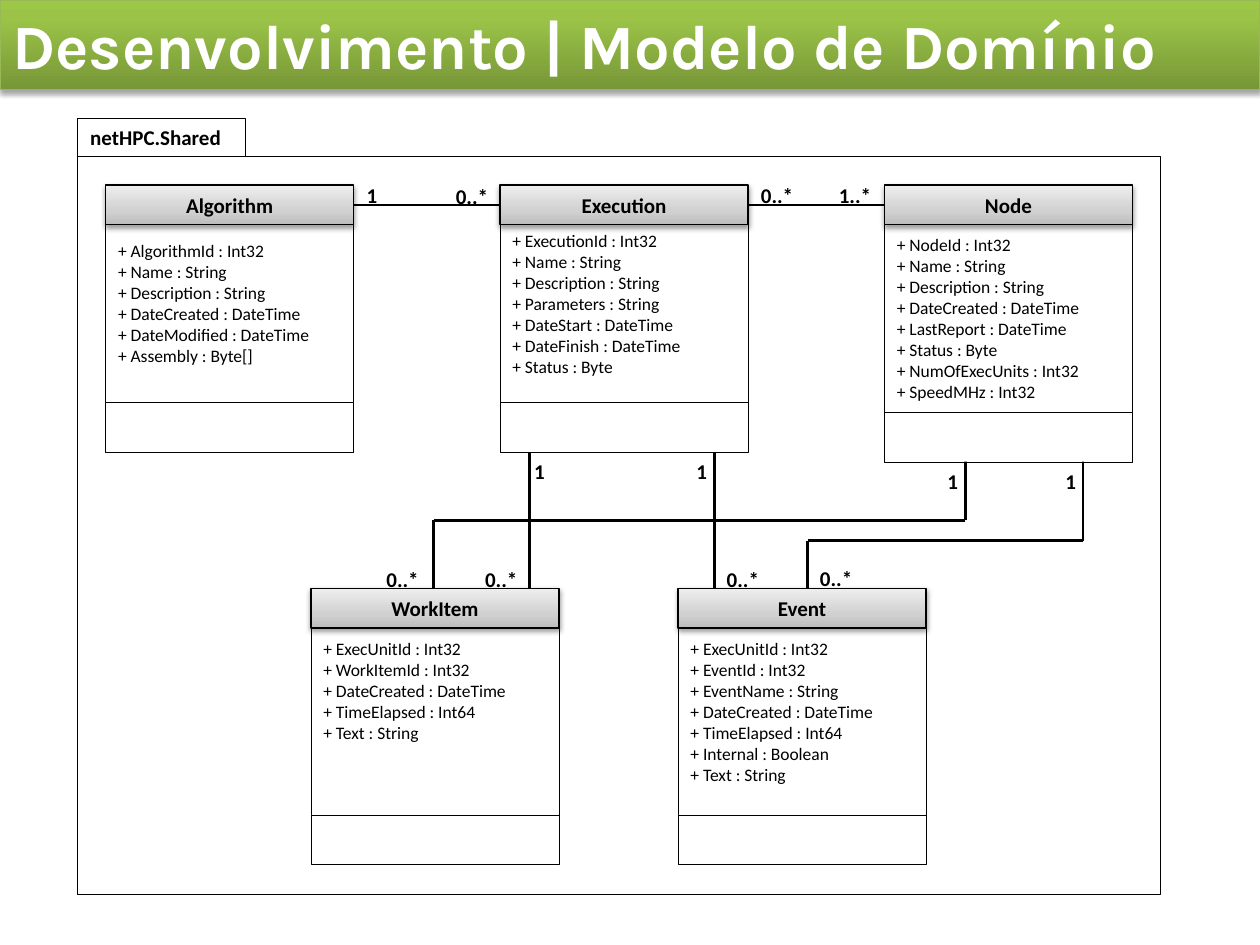
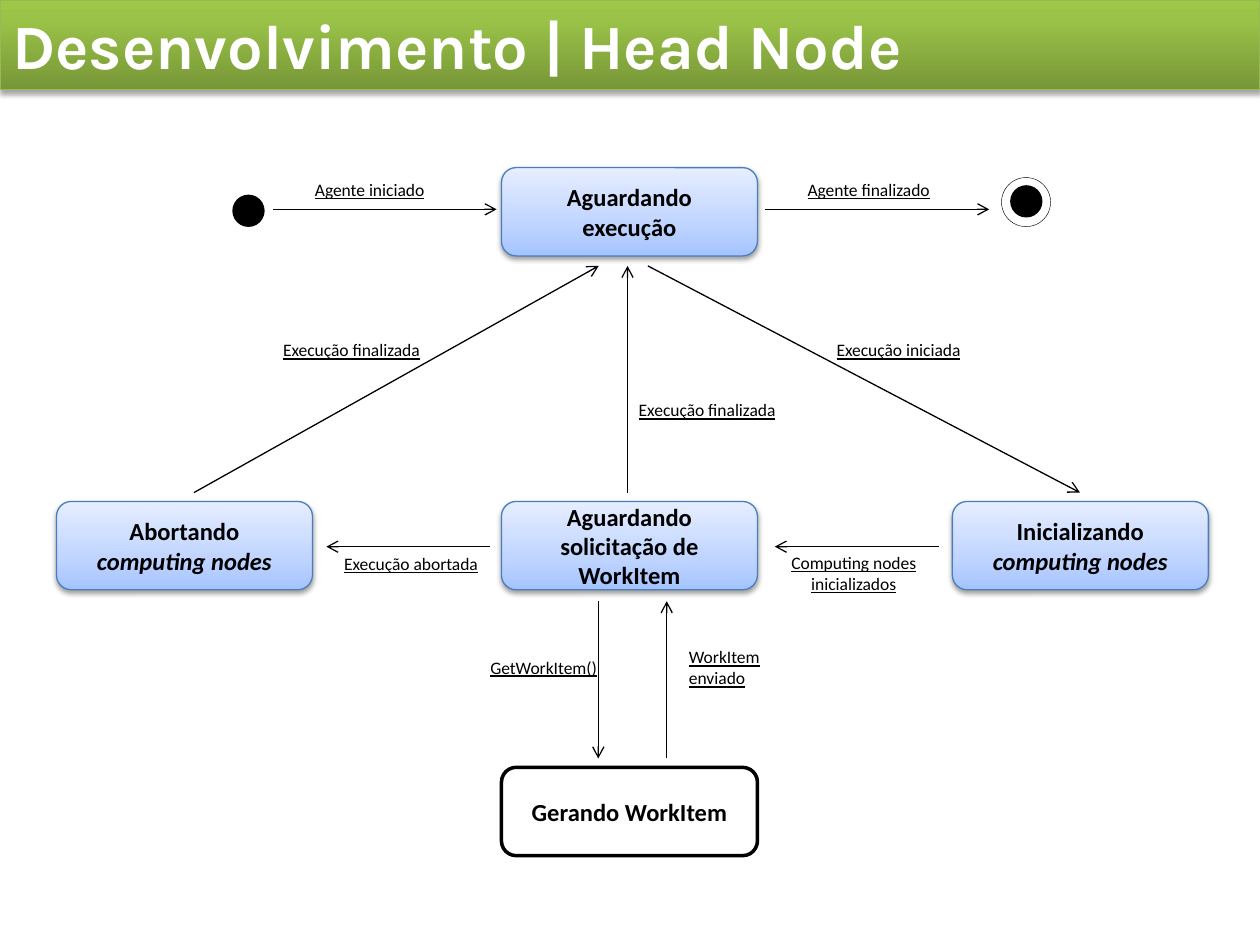
"""Build the domain model and head node state slides."""
from copy import deepcopy

from lxml import etree
from pptx import Presentation
from pptx import util as u
from pptx.dml.color import RGBColor
from pptx.enum import shapes, text
from pptx.oxml.ns import qn

COLORS = {
    "ink": "000000", "paper": "FFFFFF", "band_line": "98B955", "state_line": "4B7EBC",
    "band_low": "779737", "band_mid": "9BC348", "band_high": "9DC746",
    "header_low": "BDBDBD", "header_mid": "D1D1D1", "header_high": "EEEEEE",
    "state_low": "A4C4FF", "state_mid": "BFD4FF", "state_high": "E6EEFF",
}
GRADIENT_POSITIONS = {"band": (0, 0.8, 1), "header": (0, 0.35, 1), "state": (0, 0.35, 1)}
FONTS = {
    "title": {"name": "Karla", "size": u.Pt(36), "bold": True},
    "strong": {"name": "Calibri", "size": u.Pt(12), "bold": True},
    "attribute": {"name": "Calibri", "size": u.Pt(10)},
    "state": {"name": "Calibri", "size": u.Pt(14), "bold": True},
    "event": {"name": "Calibri", "size": u.Pt(10), "underline": True},
}
LEFT, CENTER, RIGHT = text.PP_ALIGN.LEFT, text.PP_ALIGN.CENTER, text.PP_ALIGN.RIGHT
TOP, MIDDLE = text.MSO_ANCHOR.TOP, text.MSO_ANCHOR.MIDDLE
RECTANGLE = shapes.MSO_SHAPE.RECTANGLE
ROUNDED = shapes.MSO_SHAPE.ROUNDED_RECTANGLE
CIRCLE = shapes.MSO_SHAPE.FLOWCHART_CONNECTOR


def rgb(name):
    """Return the named colour."""
    return RGBColor.from_string(COLORS[name])


class Deck:
    """Hold the presentation style and the current slide."""

    def __init__(self):
        """Start an empty 10 by 7.5 inch presentation."""
        self.presentation = Presentation()
        self.presentation.slide_width = u.Cm(25.4)
        self.presentation.slide_height = u.Cm(19.05)
        self.slide = None

    def new_slide(self, title):
        """Add a blank slide with the title band."""
        self.slide = self.presentation.slides.add_slide(self.presentation.slide_layouts[6])
        band = self.box(0, 0, 25.4, 1.8, fill="band", line="band_line", weight=0.75)
        self.shadow(band, 35, 1.8)
        self.set_text(band, [title], "title", color="paper")

    def box(self, left, top, width, height, kind=RECTANGLE, fill="paper", line="ink", weight=0.25):
        """Add a preset shape with a flat, gradient or missing fill."""
        shape = self.slide.shapes.add_shape(kind, *map(u.Cm, (left, top, width, height)))
        shape.shadow.inherit = False
        if fill is None:
            shape.fill.background()
        elif fill in GRADIENT_POSITIONS:
            self.gradient(shape, fill)
        else:
            shape.fill.solid()
            shape.fill.fore_color.rgb = rgb(fill)
        shape.line.color.rgb = rgb(line)
        shape.line.width = u.Pt(weight)
        return shape

    def gradient(self, shape, name):
        """Fill a shape with a three-stop gradient rising from the bottom."""
        shape.fill.gradient()
        shape.fill.gradient_angle = 90
        stop_list = next(shape._element.spPr.iter(qn("a:gsLst")))
        stop_list.append(deepcopy(stop_list[0]))
        stops = zip(shape.fill.gradient_stops, GRADIENT_POSITIONS[name], ("low", "mid", "high"))
        for stop, position, level in stops:
            stop.position = position
            stop.color.rgb = rgb(f"{name}_{level}")

    def shadow(self, shape, opacity, distance):
        """Drop a soft shadow below a shape."""
        effects = shape._element.spPr.find(qn("a:effectLst"))
        outer = etree.SubElement(effects, qn("a:outerShdw"), blurRad=str(u.Pt(3.1)),
                                 dist=str(u.Pt(distance)), dir="5400000", rotWithShape="0")
        color = etree.SubElement(outer, qn("a:srgbClr"), val=COLORS["ink"])
        etree.SubElement(color, qn("a:alpha"), val=str(opacity * 1000))

    def set_text(self, shape, lines, font, align=LEFT, anchor=TOP, color="ink", inset=0.13):
        """Fill in paragraphs; in a tuple every second run is italic."""
        frame = shape.text_frame
        settings = {"word_wrap": True, "vertical_anchor": anchor, "margin_top": u.Cm(inset)}
        for name, value in settings.items():
            setattr(frame, name, value)
        for number, line in enumerate(lines):
            paragraph = frame.paragraphs[0] if number == 0 else frame.add_paragraph()
            paragraph.alignment = align
            for index, words in enumerate((line,) if isinstance(line, str) else line):
                if not words:
                    continue
                run = paragraph.add_run()
                run.text = words
                for name, value in FONTS[font].items():
                    setattr(run.font, name, value)
                run.font.color.rgb = rgb(color)
                if index % 2:
                    run.font.italic = True

    def label(self, lines, left, top, width, font="event", align=LEFT):
        """Add a free text label."""
        height = 0.76 if font == "strong" else 0.69
        shape = self.slide.shapes.add_textbox(*map(u.Cm, (left, top, width, height)))
        self.set_text(shape, lines, font, align)

    def line(self, start, end, weight=1.5, arrow=False):
        """Add a straight line, optionally with an arrowhead at its end."""
        connector = self.slide.shapes.add_connector(
            shapes.MSO_CONNECTOR.STRAIGHT, *map(u.Cm, (*start, *end)))
        connector.line.color.rgb = rgb("ink")
        connector.line.width = u.Pt(weight)
        properties = connector._element.spPr
        if arrow:
            etree.SubElement(properties.find(qn("a:ln")), qn("a:tailEnd"), type="arrow")
        etree.SubElement(properties, qn("a:effectLst"))
        return connector

    def route(self, *points):
        """Draw an association as a chain of straight lines."""
        for start, end in zip(points, points[1:]):
            self.line(start, end)

    def associate(self, source, target):
        """Join the right side of one header to the left side of another."""
        connector = self.line((0, 0), (1, 0))
        connector.begin_connect(source, 3)
        connector.end_connect(target, 1)

    def uml_class(self, name, left, top, height, inset, attributes):
        """Draw a class with its compartments and return its header."""
        width, header_height = 5, 0.8
        body_top = top + header_height
        body = self.box(left, body_top, width, height)
        self.set_text(body, [f"+ {attribute}" for attribute in attributes], "attribute",
                      inset=inset)
        self.box(left, body_top + height, width, 1)
        header = self.box(left, top, width, header_height, fill="header", weight=0.75)
        self.shadow(header, 38, 1.6)
        self.set_text(header, [name], "strong", CENTER, MIDDLE)
        return header

    def state(self, left, top, lines, active=True):
        """Draw a rounded state, blue with a shadow when active."""
        fill, line, weight = ("state", "state_line", 0.75) if active else ("paper", "ink", 2)
        shape = self.box(left, top, 5.16, 1.78, ROUNDED, fill, line, weight)
        if active:
            self.shadow(shape, 38, 1.6)
        self.set_text(shape, lines, "state", CENTER, MIDDLE)


def domain_model(deck):
    """Build the class diagram slide."""
    deck.new_slide("Desenvolvimento | Modelo de Domínio")
    deck.box(1.57, 3.15, 21.82, 14.88, fill=None, weight=0.5)
    package_tab = deck.box(1.57, 2.39, 3.38, 0.76, fill=None, weight=0.5)
    deck.set_text(package_tab, ["netHPC.Shared"], "strong")

    upper, lower = 3.73, 11.86
    deck.route((10.67, 9.11), (10.67, lower))
    deck.route((14.4, 9.11), (14.4, lower))
    deck.route((19.46, 9.3), (19.46, 10.49), (8.74, 10.49), (8.74, lower))
    deck.route((21.83, 9.3), (21.83, 10.9), (16.28, 10.9), (16.28, lower))

    classes = [
        ("Algorithm", 2.13, upper, 3.58, 0.31,
         ["AlgorithmId : Int32", "Name : String", "Description : String",
          "DateCreated : DateTime", "DateModified : DateTime", "Assembly : Byte[]"]),
        ("Execution", 10.08, upper, 3.58, 0.1,
         ["ExecutionId : Int32", "Name : String", "Description : String", "Parameters : String",
          "DateStart : DateTime", "DateFinish : DateTime", "Status : Byte"]),
        ("Node", 17.83, upper, 3.78, 0.18,
         ["NodeId : Int32", "Name : String", "Description : String", "DateCreated : DateTime",
          "LastReport : DateTime", "Status : Byte", "NumOfExecUnits : Int32", "SpeedMHz : Int32"]),
        ("WorkItem", 6.27, lower, 3.77, 0.2,
         ["ExecUnitId : Int32", "WorkItemId : Int32", "DateCreated : DateTime",
          "TimeElapsed : Int64", "Text : String"]),
        ("Event", 13.67, lower, 3.77, 0.2,
         ["ExecUnitId : Int32", "EventId : Int32", "EventName : String", "DateCreated : DateTime",
          "TimeElapsed : Int64", "Internal : Boolean", "Text : String"]),
    ]
    headers = {entry[0]: deck.uml_class(*entry) for entry in classes}
    deck.associate(headers["Algorithm"], headers["Execution"])
    deck.associate(headers["Execution"], headers["Node"])

    multiplicities = {
        "1": [(7.14, 3.56), (10.52, 9.12), (13.79, 9.12), (18.85, 9.32), (21.23, 9.32)],
        "0..*": [(8.94, 3.58), (15.09, 3.56), (7.54, 11.3), (9.53, 11.3),
                 (14.4, 11.3), (16.28, 11.28)],
        "1..*": [(16.66, 3.56)],
    }
    for multiplicity, places in multiplicities.items():
        for left, top in places:
            deck.label([multiplicity], left, top, 1.19, "strong")


def head_node(deck):
    """Build the state diagram slide."""
    deck.new_slide("Desenvolvimento | Head Node")
    middle, row = 10.11, 10.11
    deck.state(middle, 3.38, ["Aguardando execução"])
    deck.state(middle, row, ["Aguardando solicitação de WorkItem"])
    deck.state(19.2, row, [("Inicializando ", "computing nodes")])
    deck.state(1.14, row, ["Abortando", ("", "computing nodes")])
    deck.state(middle, 15.47, ["Gerando WorkItem"], active=False)

    deck.box(4.72, 3.96, 0.58, 0.58, CIRCLE, "ink", weight=2)
    deck.box(20.19, 3.58, 0.99, 0.99, CIRCLE)
    deck.box(20.4, 3.77, 0.58, 0.58, CIRCLE, "ink", weight=2)

    transitions = [
        ((5.51, 4.22), (10.01, 4.22)), ((15.42, 4.22), (19.94, 4.22)),
        ((13.06, 5.36), (21.77, 9.93)), ((12.65, 9.93), (12.65, 5.36)),
        ((3.91, 9.93), (12.07, 5.36)), ((18.92, 11.02), (15.62, 11.02)),
        ((9.88, 11.02), (6.58, 11.02)), ((12.06, 12.12), (12.06, 15.29)),
        ((13.44, 15.29), (13.44, 12.12)),
    ]
    for start, end in transitions:
        deck.line(start, end, 0.75, arrow=True)

    events = [
        (["Agente iniciado"], 6.1, 3.48, 3.18, LEFT),
        (["Agente finalizado"], 16.03, 3.48, 3.58, LEFT),
        (["Execução finalizada"], 4.9, 6.71, 4.37, CENTER),
        (["Execução iniciada"], 16.23, 6.71, 3.38, RIGHT),
        (["Execução finalizada"], 12.07, 7.92, 4.37, CENTER),
        (["Execução abortada"], 6.1, 11.02, 4.37, CENTER),
        (["Computing nodes inicializados"], 15.62, 11, 3.18, CENTER),
        (["GetWorkItem()"], 9.27, 13.11, 3.38, CENTER),
        (["WorkItem", "enviado"], 13.64, 12.9, 2.59, LEFT),
    ]
    for lines, left, top, width, align in events:
        deck.label(lines, left, top, width, align=align)


def main():
    """Build and save both slides."""
    deck = Deck()
    domain_model(deck)
    head_node(deck)
    deck.presentation.save("out.pptx")


if __name__ == "__main__":
    main()
